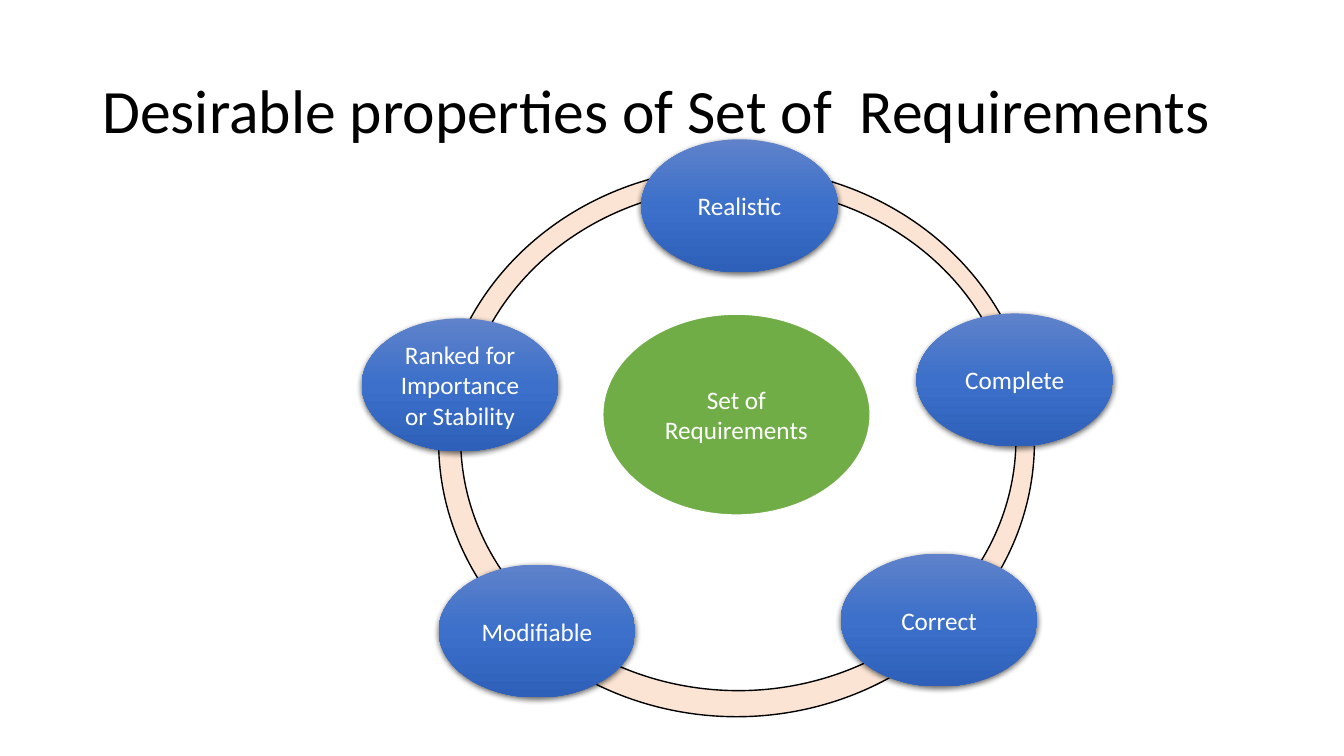
import dataclasses

import pptx
import pptx.dml.color
import pptx.enum.shapes
import pptx.enum.text
import pptx.oxml
import pptx.oxml.ns
import pptx.util


@dataclasses.dataclass(frozen=True)
class Theme:
    """Colours, font and type sizes of the slide."""
    font: str = "Calibri"
    title_size: int = 44
    label_size: int = 18
    ink: str = "000000"
    paper: str = "FFFFFF"
    ring: str = "FBE4D4"
    hub: str = "70AD47"
    node_stops: tuple = ((0, "5F82CA"), (50, "3C70CA"), (100, "2E60B9"))


@dataclasses.dataclass(frozen=True)
class Box:
    """A rectangle that yields others, measured in percent of its size."""
    left: float
    top: float
    width: float
    height: float

    def centred(self, x, y, width, height):
        """Return the box of the given size centred at x, y."""
        return Box(
            round(self.left + self.width * (x - width / 2) / 100),
            round(self.top + self.height * (y - height / 2) / 100),
            round(self.width * width / 100),
            round(self.height * height / 100),
        )


THEME = Theme()
PROPERTIES = (
    ("Realistic", 50.5, 7),
    ("Complete", 96.7, 38.7),
    ("Correct", 84, 82.4),
    ("Modifiable", 16.5, 84.4),
    ("Ranked for Importance or Stability", 3.6, 39.6),
)


def rgb(colour):
    """Return the colour object for a hex string."""
    return pptx.dml.color.RGBColor.from_string(colour)


def write(frame, text, size, colour, align):
    """Put one vertically centred paragraph in a text frame."""
    frame.word_wrap = True
    frame.vertical_anchor = pptx.enum.text.MSO_ANCHOR.MIDDLE
    paragraph = frame.paragraphs[0]
    paragraph.alignment = align
    run = paragraph.add_run()
    run.text = text
    run.font.name = THEME.font
    run.font.size = pptx.util.Pt(size)
    run.font.color.rgb = rgb(colour)
    return paragraph


def add_ellipse(slide, box, fill=None, line=None, weight=1, label=None):
    """Draw an ellipse with optional fill, outline and centred label."""
    ellipse = slide.shapes.add_shape(
        pptx.enum.shapes.MSO_SHAPE.OVAL, *dataclasses.astuple(box))
    ellipse.shadow.inherit = False
    if fill:
        ellipse.fill.solid()
        ellipse.fill.fore_color.rgb = rgb(fill)
    if line:
        ellipse.line.color.rgb = rgb(line)
        ellipse.line.width = pptx.util.Pt(weight)
    else:
        ellipse.line.fill.background()
    if label:
        write(ellipse.text_frame, label, THEME.label_size, THEME.paper,
              pptx.enum.text.PP_ALIGN.CENTER)
    return ellipse


def add_node(slide, box, label):
    """Draw a property as a shaded ellipse with a soft shadow."""
    node = add_ellipse(slide, box, label=label)
    node.fill.gradient()
    node.fill.gradient_angle = 270
    properties = node._element.spPr
    stops = properties.find(".//" + pptx.oxml.ns.qn("a:gsLst"))
    stops.clear()
    namespace = pptx.oxml.ns.nsdecls("a")
    for position, colour in THEME.node_stops:
        stops.append(pptx.oxml.parse_xml(
            f'<a:gs {namespace} pos="{position * 1000}">'
            f'<a:srgbClr val="{colour}"/></a:gs>'))
    properties.find(pptx.oxml.ns.qn("a:effectLst")).append(pptx.oxml.parse_xml(
        f'<a:outerShdw {namespace} blurRad="{pptx.util.Pt(4.5)}" '
        f'dist="{pptx.util.Pt(1.5)}" dir="5400000" algn="ctr" rotWithShape="0">'
        f'<a:srgbClr val="{THEME.ink}"><a:alpha val="63000"/></a:srgbClr>'
        '</a:outerShdw>'))


def add_title(slide, box):
    """Write the slide title in its box."""
    title = slide.shapes.add_textbox(*dataclasses.astuple(box))
    paragraph = write(
        title.text_frame, "Desirable properties of Set of  Requirements",
        THEME.title_size, THEME.ink, pptx.enum.text.PP_ALIGN.LEFT)
    paragraph.line_spacing = 0.9


def add_cycle(slide, box):
    """Draw the ring, the properties along it and the hub inside."""
    add_ellipse(slide, box, THEME.ring, THEME.ink)
    add_ellipse(slide, box.centred(50.3, 49.4, 93.2, 91.7), THEME.paper, THEME.ink)
    for label, x, y in PROPERTIES:
        add_node(slide, box.centred(x, y, 33, 24.2), label)
    add_ellipse(slide, box.centred(50, 45, 45, 36.7), THEME.hub, THEME.paper,
                1.5, "Set of Requirements")


def main():
    """Build the slide and save it."""
    deck = pptx.Presentation()
    deck.slide_width = pptx.util.Inches(13.33)
    deck.slide_height = pptx.util.Inches(7.5)
    slide = deck.slides.add_slide(deck.slide_layouts[6])
    page = Box(0, 0, deck.slide_width, deck.slide_height)
    add_title(slide, page.centred(50, 15, 86.25, 19.3))
    add_cycle(slide, page.centred(54.8, 58.47, 44.33, 72.67))
    deck.save("out.pptx")


if __name__ == "__main__":
    main()
